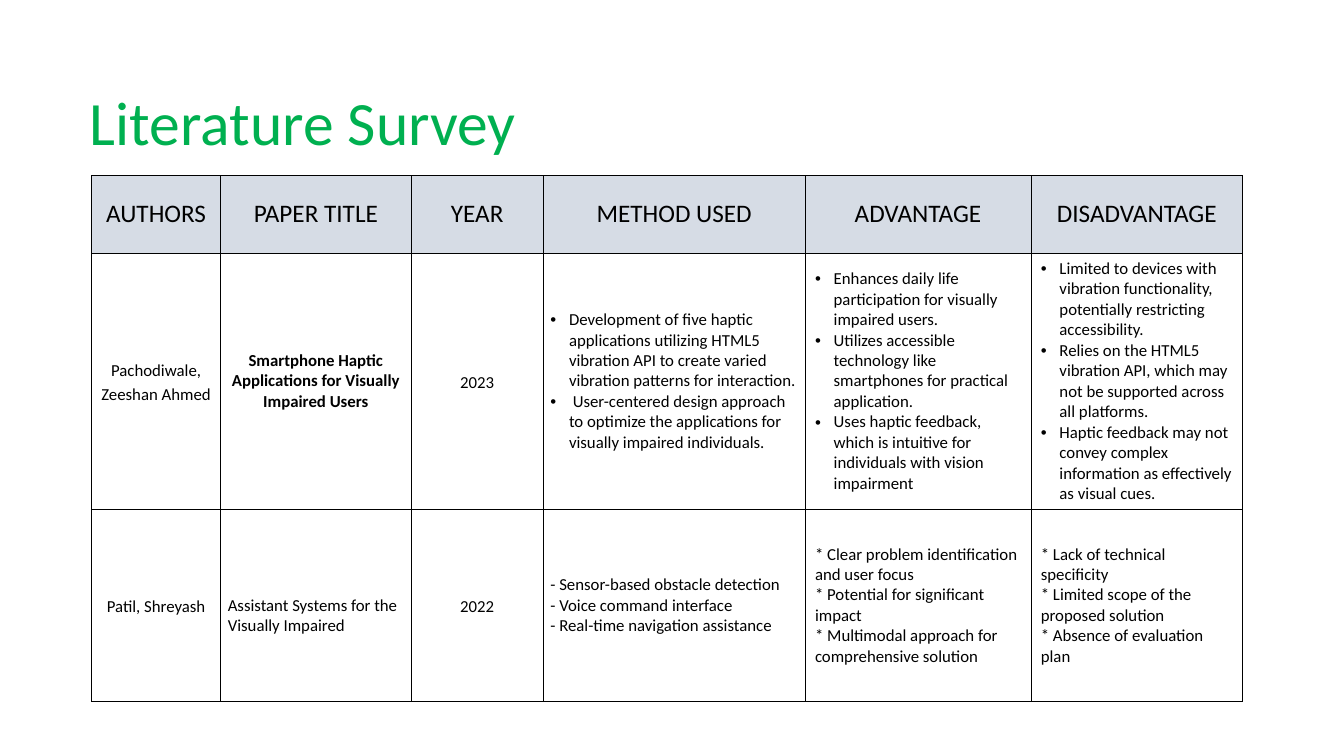
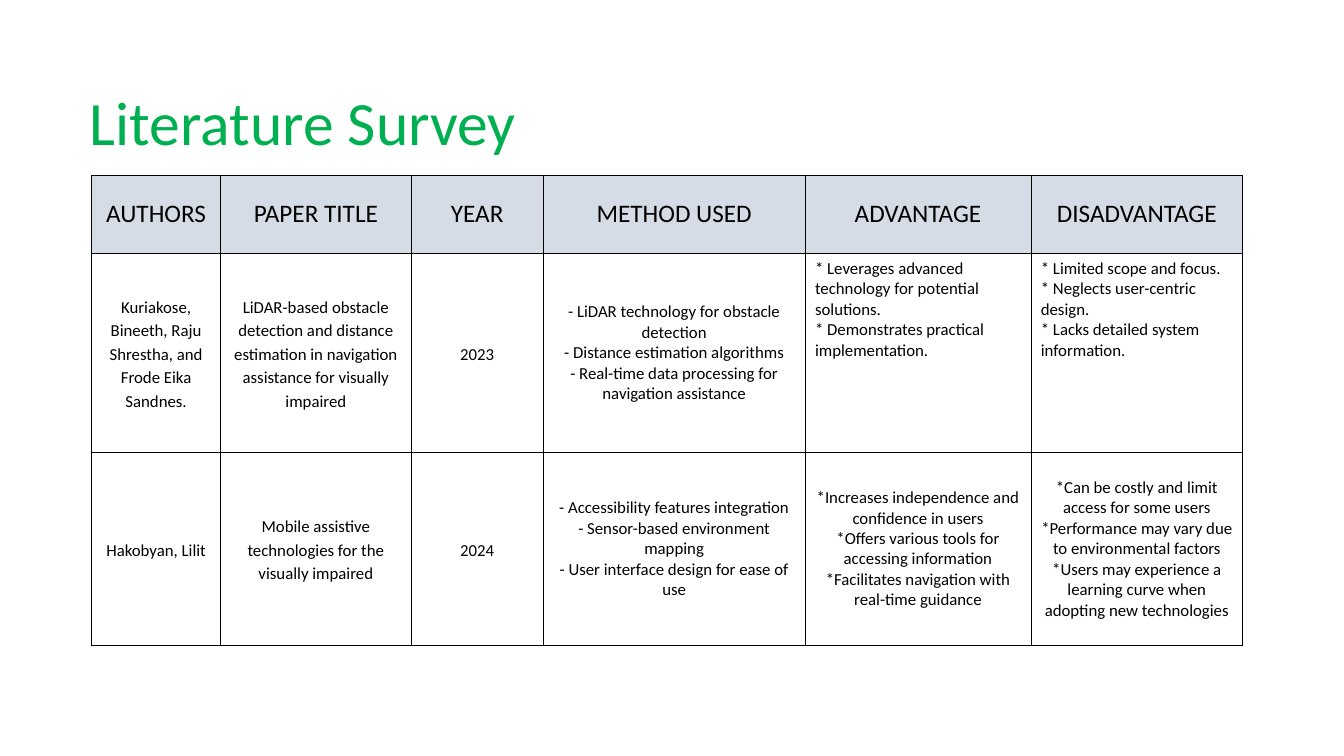
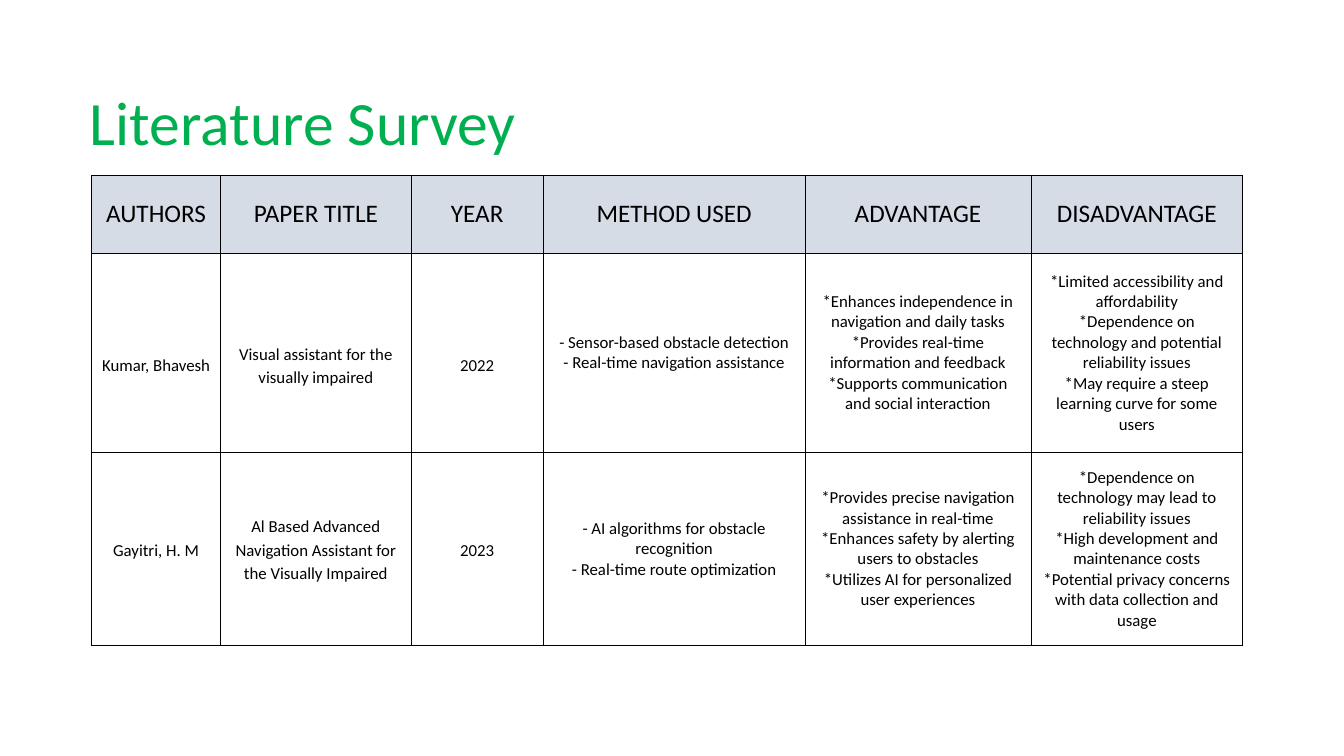
from dataclasses import dataclass, field

from lxml import etree
from pptx import Presentation
from pptx.dml.color import RGBColor
from pptx.enum.text import MSO_ANCHOR, MSO_AUTO_SIZE, PP_ALIGN
from pptx.oxml.ns import qn
from pptx.util import Cm, Pt

LEFT, CENTER = PP_ALIGN.LEFT, PP_ALIGN.CENTER
TOP, MIDDLE = MSO_ANCHOR.TOP, MSO_ANCHOR.MIDDLE
NO_FIT = MSO_AUTO_SIZE.NONE
TITLE_ONLY = 5


@dataclass(frozen=True)
class Theme:
    """Colours, font, type sizes and line widths of the deck."""

    font: str = "Calibri"
    title_color: str = "00B050"
    text_color: str = "000000"
    header_fill: str = "D6DCE5"
    title_size: int = 44
    header_size: int = 18
    body_size: int = 12
    fact_spacing: float = 1.15
    rule: float = 0.5
    divider: float = 1


@dataclass(frozen=True)
class Box:
    """A region in centimetres."""

    left: float
    top: float
    width: float
    height: float


@dataclass(frozen=True)
class Paper:
    """One surveyed paper, with formats for columns that differ from the rest."""

    authors: str
    title: str
    year: str
    method: tuple
    advantage: tuple
    disadvantage: tuple
    formats: dict = field(default_factory=dict)


THEME = Theme()
TITLE_BOX = Box(2.01, 1.98, 12.24, 2.13)
TABLE_BOX = Box(2.31, 4.42, 29.01, 11.84)
TALL_TABLE_BOX = Box(2.31, 4.42, 29.01, 13.16)
HEADER_HEIGHT, LAST_HEIGHT = 1.96, 4.85
COLUMNS = {
    "authors": ("AUTHORS", 3.25),
    "title": ("PAPER TITLE", 4.8),
    "year": ("YEAR", 3.33),
    "method": ("METHOD USED", 6.6),
    "advantage": ("ADVANTAGE", 5.69),
    "disadvantage": ("DISADVANTAGE", 5.34),
}
FACTS = ("authors", "title", "year")
LISTS = ("method", "advantage", "disadvantage")
WIDE_MARGINS = (0.25, 0.13)
NARROW_MARGINS = (0.18, 0)
LOWERED = {"drop": 0.59}

SURVEYS = [
    (TALL_TABLE_BOX, [
        Paper(
            "Pachodiwale, Zeeshan Ahmed",
            "Smartphone Haptic Applications for Visually Impaired Users",
            "2023",
            ("Development of five haptic applications utilizing HTML5 vibration API "
             "to create varied vibration patterns for interaction.",
             " User-centered design approach to optimize the applications for "
             "visually impaired individuals."),
            ("Enhances daily life participation for visually impaired users.",
             "Utilizes accessible technology like smartphones for practical application.",
             "Uses haptic feedback, which is intuitive for individuals with vision "
             "impairment"),
            ("Limited to devices with vibration functionality, potentially restricting "
             "accessibility.",
             "Relies on the HTML5 vibration API, which may not be supported across all "
             "platforms.",
             "Haptic feedback may not convey complex information as effectively as "
             "visual cues."),
            {"title": {"bold": True, "spacing": 1},
             **dict.fromkeys(LISTS, {"align": LEFT, "bullet": "•"})},
        ),
        Paper(
            "Patil, Shreyash",
            "Assistant Systems for the Visually Impaired",
            "2022",
            ("- Sensor-based obstacle detection",
             "- Voice command interface",
             "- Real-time navigation assistance"),
            ("* Clear problem identification and user focus",
             "* Potential for significant impact",
             "* Multimodal approach for comprehensive solution"),
            ("* Lack of technical specificity",
             "* Limited scope of the proposed solution",
             "* Absence of evaluation plan"),
            {"title": {"align": LEFT, "spacing": 1, "drop": 0.52},
             **dict.fromkeys(LISTS, {"align": LEFT})},
        ),
    ]),
    (TABLE_BOX, [
        Paper(
            "Kuriakose, Bineeth, Raju Shrestha, and Frode Eika Sandnes.",
            "LiDAR-based obstacle detection and distance estimation in navigation "
            "assistance for visually impaired",
            "2023",
            ("- LiDAR technology for obstacle detection",
             "- Distance estimation algorithms",
             "- Real-time data processing for navigation assistance"),
            ("* Leverages advanced technology for potential solutions.",
             "* Demonstrates practical implementation."),
            ("* Limited scope and focus.",
             "* Neglects user-centric design.",
             "* Lacks detailed system information."),
            dict.fromkeys(LISTS[1:], {"align": LEFT, "anchor": TOP}),
        ),
        Paper(
            "Hakobyan, Lilit",
            "Mobile assistive technologies for the visually impaired",
            "2024",
            ("- Accessibility features integration",
             "- Sensor-based environment mapping",
             "- User interface design for ease of use"),
            ("*Increases independence and confidence in users",
             "*Offers various tools for accessing information",
             "*Facilitates navigation with real-time guidance"),
            ("*Can be costly and limit access for some users",
             "*Performance may vary due to environmental factors",
             "*Users may experience a learning curve when adopting new technologies"),
        ),
    ]),
    (TABLE_BOX, [
        Paper(
            "Kumar, Bhavesh",
            "Visual assistant for the visually impaired",
            "2022",
            ("- Sensor-based obstacle detection",
             "- Real-time navigation assistance"),
            ("*Enhances independence in navigation and daily tasks",
             "*Provides real-time information and feedback",
             "*Supports communication and social interaction"),
            ("*Limited accessibility and affordability",
             "*Dependence on technology and potential reliability issues",
             "*May require a steep learning curve for some users"),
            dict.fromkeys(FACTS, LOWERED),
        ),
        Paper(
            "Gayitri, H. M",
            "Al Based Advanced Navigation Assistant for the Visually Impaired",
            "2023",
            ("- AI algorithms for obstacle recognition",
             "- Real-time route optimization"),
            ("*Provides precise navigation assistance in real-time",
             "*Enhances safety by alerting users to obstacles",
             "*Utilizes AI for personalized user experiences"),
            ("*Dependence on technology may lead to reliability issues",
             "*High development and maintenance costs",
             "*Potential privacy concerns with data collection and usage"),
        ),
    ]),
]


def add_bullet(para, mark):
    """Give a paragraph a hanging bullet."""
    properties = para._p.get_or_add_pPr()
    properties.set("marL", str(Cm(0.47)))
    properties.set("indent", str(-Cm(0.47)))
    etree.SubElement(properties, qn("a:buFont"), typeface="Arial")
    etree.SubElement(properties, qn("a:buChar"), char=mark)


def write_text(frame, lines, size=THEME.body_size, color=THEME.text_color,
               bold=False, align=CENTER, spacing=1, bullet=None):
    """Write one paragraph for each line of text."""
    frame.word_wrap = True
    for index, line in enumerate(lines):
        para = frame.add_paragraph() if index else frame.paragraphs[0]
        if bullet:
            add_bullet(para, bullet)
        para.alignment = align
        para.line_spacing = spacing
        span = para.add_run()
        span.text = line
        span.font.name = THEME.font
        span.font.size = Pt(size)
        span.font.bold = bold
        span.font.color.rgb = RGBColor.from_string(color)


def draw_borders(cell, left=THEME.rule, right=THEME.rule):
    """Rule the four sides of a cell."""
    properties = cell._tc.get_or_add_tcPr()
    widths = {"a:lnL": left, "a:lnR": right, "a:lnT": THEME.rule, "a:lnB": THEME.rule}
    for side, width in widths.items():
        line = etree.SubElement(properties, qn(side), w=str(Pt(width)))
        fill = etree.SubElement(line, qn("a:solidFill"))
        etree.SubElement(fill, qn("a:srgbClr"), val=THEME.text_color)


def fill_cell(cell, column, lines, fill=None, margins=WIDE_MARGINS,
              anchor=MIDDLE, drop=0, **text_format):
    """Set the borders, fill, margins and text of one cell."""
    draw_borders(
        cell,
        left=THEME.divider if column == "method" else THEME.rule,
        right=THEME.divider if column == "year" else THEME.rule,
    )
    if fill:
        cell.fill.solid()
        cell.fill.fore_color.rgb = RGBColor.from_string(fill)
    else:
        cell.fill.background()
    side, end = margins
    cell.margin_left = cell.margin_right = Cm(side)
    cell.margin_top, cell.margin_bottom = Cm(end + drop), Cm(end)
    cell.vertical_anchor = anchor
    write_text(cell.text_frame, lines, **text_format)


def fill_paper_row(table, row, paper):
    """Write one paper across a table row."""
    for index, column in enumerate(COLUMNS):
        content = getattr(paper, column)
        is_fact = column in FACTS
        cell_format = {
            "spacing": THEME.fact_spacing if is_fact else 1,
            "margins": NARROW_MARGINS if is_fact or column == "method" else WIDE_MARGINS,
            **paper.formats.get(column, {}),
        }
        lines = (content,) if is_fact else content
        fill_cell(table.cell(row, index), column, lines, **cell_format)


def add_survey_table(page, box, papers):
    """Place the table of papers in its box."""
    frame = page.shapes.add_table(
        len(papers) + 1, len(COLUMNS),
        Cm(box.left), Cm(box.top), Cm(box.width), Cm(box.height))
    table = frame.table
    table.first_row = table.horz_banding = False
    heights = (HEADER_HEIGHT, box.height - HEADER_HEIGHT - LAST_HEIGHT, LAST_HEIGHT)
    for row, height in zip(table.rows, heights):
        row.height = Cm(height)
    for index, (column, (heading, width)) in enumerate(COLUMNS.items()):
        table.columns[index].width = Cm(width)
        fill_cell(table.cell(0, index), column, (heading,),
                  fill=THEME.header_fill, size=THEME.header_size)
    for row, paper in enumerate(papers, start=1):
        fill_paper_row(table, row, paper)


def add_title(page, box, text):
    """Move the title placeholder to its box and write the title."""
    title = page.shapes.title
    title.left, title.top = Cm(box.left), Cm(box.top)
    title.width, title.height = Cm(box.width), Cm(box.height)
    frame = title.text_frame
    frame.auto_size = NO_FIT
    frame.vertical_anchor = TOP
    write_text(frame, (text,), size=THEME.title_size,
               color=THEME.title_color, align=LEFT)


def add_survey_page(deck, box, papers):
    """Add one survey slide with its title and table."""
    page = deck.slides.add_slide(deck.slide_layouts[TITLE_ONLY])
    add_title(page, TITLE_BOX, "Literature Survey")
    add_survey_table(page, box, papers)


def main():
    """Build the deck and save it."""
    deck = Presentation()
    deck.slide_width, deck.slide_height = Cm(33.87), Cm(19.05)
    for box, papers in SURVEYS:
        add_survey_page(deck, box, papers)
    deck.save("out.pptx")


if __name__ == "__main__":
    main()
